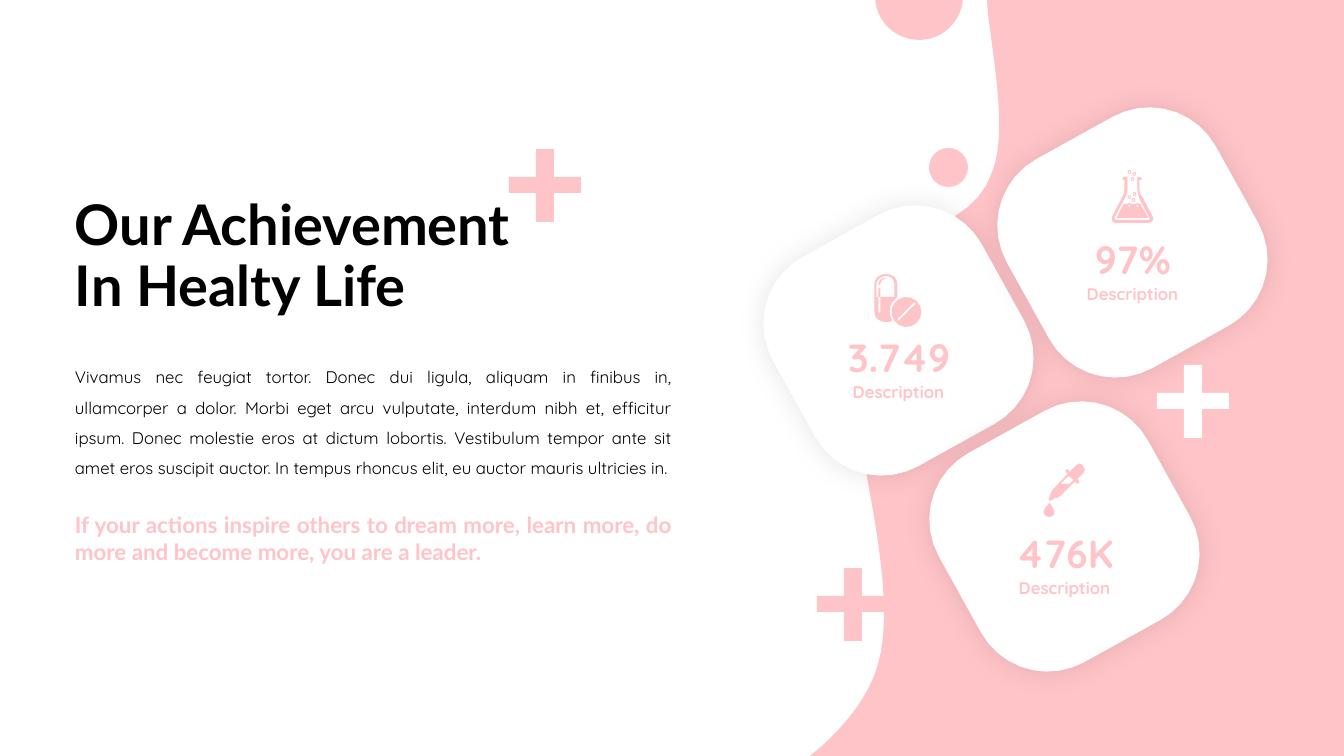
import math

import pptx
import pptx.dml.color
import pptx.enum.shapes
import pptx.enum.text
import pptx.oxml
import pptx.oxml.ns
import pptx.util

PX = 914400 / 100.8
PINK = pptx.dml.color.RGBColor(0xFF, 0xC4, 0xC8)
WHITE = pptx.dml.color.RGBColor(0xFF, 0xFF, 0xFF)
BLACK = pptx.dml.color.RGBColor(0x00, 0x00, 0x00)
ALIGN = pptx.enum.text.PP_ALIGN
ANCHOR = pptx.enum.text.MSO_ANCHOR
CARD = 271
CORNER = 76
STRAIGHT = 87
TILT = -29


def emu(px):
    return pptx.util.Emu(round(px * PX))


def circle(cx, cy, r):
    count = max(6, r)
    turns = [math.tau * i / count for i in range(count)]
    return [(cx + r * math.cos(a), cy + r * math.sin(a)) for a in turns]


def rings(centers):
    return [circle(cx, cy, r) for cx, cy in centers for r in (2, 1)]


FLASK = [
    [(41, 51), (40, 52, 39, 53, 37, 53), (4, 53), (3, 53, 1, 52, 1, 51),
     (0, 50, 0, 48, 1, 46), (11, 27), (12, 25, 13, 22, 13, 19), (13, 10),
     (12, 10), (11, 9), (12, 7), (16, 7), (16, 19),
     (16, 22, 15, 26, 13, 29), (3, 48), (4, 50), (37, 50),
     (39, 49), (38, 48), (28, 29), (27, 26, 26, 22, 26, 19), (26, 7),
     (29, 7), (31, 9), (29, 10), (28, 10), (28, 19),
     (28, 22, 29, 25, 31, 27), (41, 46), (42, 48, 42, 50, 41, 51)],
    [(18, 33), (20, 34), (24, 34), (26, 33), (28, 34), (29, 34),
     (37, 48), (5, 48), (12, 34), (15, 34)],
    circle(18, 36, 1), circle(26, 36, 1),
    *rings([(22, 30), (23, 24), (23, 4), (18, 27), (18, 2), (21, 9)]),
]
DROPPER = [
    [(40, 4), (39, 2), (37, 0, 35, 0, 33, 2), (26, 9), (25, 7),
     (24, 6, 23, 6, 22, 7), (22, 8, 22, 9, 23, 10), (24, 11), (10, 26),
     (9, 27, 8, 28, 8, 29), (7, 31), (6, 34), (5, 37), (6, 38, 7, 38, 9, 37),
     (11, 35), (13, 35), (14, 35, 16, 34, 17, 33), (31, 19), (33, 20),
     (33, 21, 35, 21, 36, 20), (36, 20, 36, 19, 35, 17), (34, 16), (40, 10),
     (42, 8, 42, 5, 40, 4)],
    [(26, 21), (17, 21), (25, 13), (30, 17)],
    [(6, 40), (6, 40, 11, 46, 11, 49), (11, 52, 9, 54, 6, 54),
     (3, 54, 0, 52, 0, 49), (0, 46, 6, 40, 6, 40)],
]
PILLS = [
    [(18, 47), (17, 48, 14, 48, 12, 48), (11, 48), (5, 48, 0, 44, 0, 38),
     (0, 10), (0, 4, 5, 0, 11, 0), (12, 0), (18, 0, 23, 4, 23, 10), (23, 23),
     (22, 24, 21, 25, 20, 26), (14, 31, 14, 40, 18, 47)],
    [(20, 23), (20, 10), (20, 6, 17, 2, 12, 2), (11, 2), (6, 2, 2, 6, 2, 10),
     (2, 23), (4, 23), (4, 38), (5, 39), (6, 38), (6, 23)],
    [(11, 4), (11, 5), (8, 5, 6, 7, 6, 10), (5, 11), (4, 10),
     (4, 6, 7, 4, 11, 4)],
    [(4, 23), (4, 15), (5, 14), (6, 15), (6, 23)],
    circle(32, 38, 15),
    [(40, 28), (41, 30), (24, 47), (23, 45)],
]
WAVE = [[
    (987, 0), (1344, 0), (1344, 756), (810, 756), (822, 746),
    (847, 723, 867, 698, 877, 668), (907, 574, 831, 384, 850, 300),
    (870, 218, 968, 246, 993, 170), (1006, 133, 996, 75, 988, 14),
]]
PLUS = [[
    (27, 0), (45, 0), (45, 28), (72, 28), (72, 44), (45, 44),
    (45, 73), (27, 73), (27, 44), (0, 44), (0, 28), (27, 28),
]]


def flatten(contour):
    points = [contour[0]]
    for node in contour[1:]:
        if len(node) == 2:
            points.append(node)
            continue
        x0, y0 = points[-1]
        x1, y1, x2, y2, x3, y3 = node
        steps = max(1, round(math.sqrt(math.dist((x0, y0), (x3, y3)))))
        for i in range(1, steps + 1):
            t = i / steps
            a, b, c, d = (1 - t) ** 3, 3 * t * (1 - t) ** 2, 3 * t * t * (1 - t), t ** 3
            points.append((a * x0 + b * x1 + c * x2 + d * x3,
                           a * y0 + b * y1 + c * y2 + d * y3))
    return points


def paint(shape, color):
    shape.shadow.inherit = False
    shape.fill.solid()
    shape.fill.fore_color.rgb = color
    shape.line.fill.background()
    return shape


def add_outline(s, contours, x, y, color):
    builder = None
    for contour in contours:
        points = [(emu(x + px), emu(y + py)) for px, py in flatten(contour)]
        if builder is None:
            builder = s.shapes.build_freeform(*points[0], scale=1.0)
        else:
            builder.move_to(*points[0])
        builder.add_line_segments(points[1:], close=True)
    return paint(builder.convert_to_shape(), color)


def add_circle(s, x, y, size, color):
    oval = pptx.enum.shapes.MSO_SHAPE.OVAL
    return paint(s.shapes.add_shape(oval, emu(x), emu(y), emu(size), emu(size)), color)


def add_text(s, text, x, y, w, h, size, font="Quicksand", color=PINK, bold=True,
             align=ALIGN.CENTER, anchor=ANCHOR.MIDDLE, spacing=1.0):
    tf = s.shapes.add_textbox(emu(x), emu(y), emu(w), emu(h)).text_frame
    tf.word_wrap = True
    tf.vertical_anchor = anchor
    p = tf.paragraphs[0]
    p.alignment = align
    p.line_spacing = spacing
    r = p.add_run()
    r.text = text
    r.font.name = font
    r.font.size = pptx.util.Pt(size)
    r.font.bold = bold
    r.font.color.rgb = color


def card_contour():
    points = []
    for corner in range(4):
        middle = math.radians(TILT + 45 + 90 * corner)
        reach = STRAIGHT / math.sqrt(2)
        cx = CARD / 2 + reach * math.cos(middle)
        cy = CARD / 2 + reach * math.sin(middle)
        for turn in range(-45, 46, 10):
            a = middle + math.radians(turn)
            points.append((cx + CORNER * math.cos(a), cy + CORNER * math.sin(a)))
    return points


def add_soft_shadow(shape):
    effects = shape.element.spPr.find(pptx.oxml.ns.qn("a:effectLst"))
    effects.append(pptx.oxml.parse_xml(
        f'<a:outerShdw {pptx.oxml.ns.nsdecls("a")} blurRad="{pptx.util.Pt(20)}" dist="0" '
        'dir="0" algn="ctr" rotWithShape="0"><a:srgbClr val="000000">'
        '<a:alpha val="10000"/></a:srgbClr></a:outerShdw>'))


def add_card(s, x, y, value, icon, icon_width, icon_top):
    add_soft_shadow(add_outline(s, [card_contour()], x, y, WHITE))
    add_text(s, "Description", x + 72, y + 172, 127, 30, 12)
    add_text(s, value, x + 60, y + 123, 152, 57, 28)
    add_outline(s, icon, x + (CARD - icon_width) / 2, y + icon_top, PINK)


def add_message(s, x, y, w):
    add_text(s, "Our Achievement In Healty Life", x, y, 512, 146, 40, font="Lato",
             color=BLACK, align=ALIGN.LEFT, spacing=0.9)
    add_text(s, "Vivamus nec feugiat tortor. Donec dui ligula, aliquam in finibus in, "
             "ullamcorper a dolor. Morbi eget arcu vulputate, interdum nibh et, efficitur "
             "ipsum. Donec molestie eros at dictum lobortis. Vestibulum tempor ante sit amet "
             "eros suscipit auctor. In tempus rhoncus elit, eu auctor mauris ultricies in.",
             x, y + 167, w, 132, 12, color=BLACK, bold=False,
             align=ALIGN.JUSTIFY, anchor=ANCHOR.TOP, spacing=1.5)
    add_text(s, "If your actions inspire others to dream more, learn more, do more "
             "and become more, you are a leader.", x, y + 321, w, 65, 16, font="Lato",
             align=ALIGN.JUSTIFY, anchor=ANCHOR.TOP)


def add_decor(s):
    for x, y, color in [(1157, 365, WHITE), (817, 568, PINK), (509, 149, PINK)]:
        add_outline(s, PLUS, x, y, color)
    add_circle(s, 929, 148, 39, PINK)
    add_circle(s, 875, -48, 88, PINK)


def main():
    prs = pptx.Presentation()
    prs.slide_width, prs.slide_height = emu(1344), emu(756)
    s = prs.slides.add_slide(prs.slide_layouts[6])
    add_outline(s, WAVE, 0, 0, PINK)
    add_card(s, 763, 205, "3.749", PILLS, 48, 69)
    add_card(s, 929, 401, "476K", DROPPER, 42, 62)
    add_card(s, 997, 107, "97%", FLASK, 42, 63)
    add_decor(s)
    add_message(s, 65, 185, 617)
    prs.save("out.pptx")


if __name__ == "__main__":
    main()
